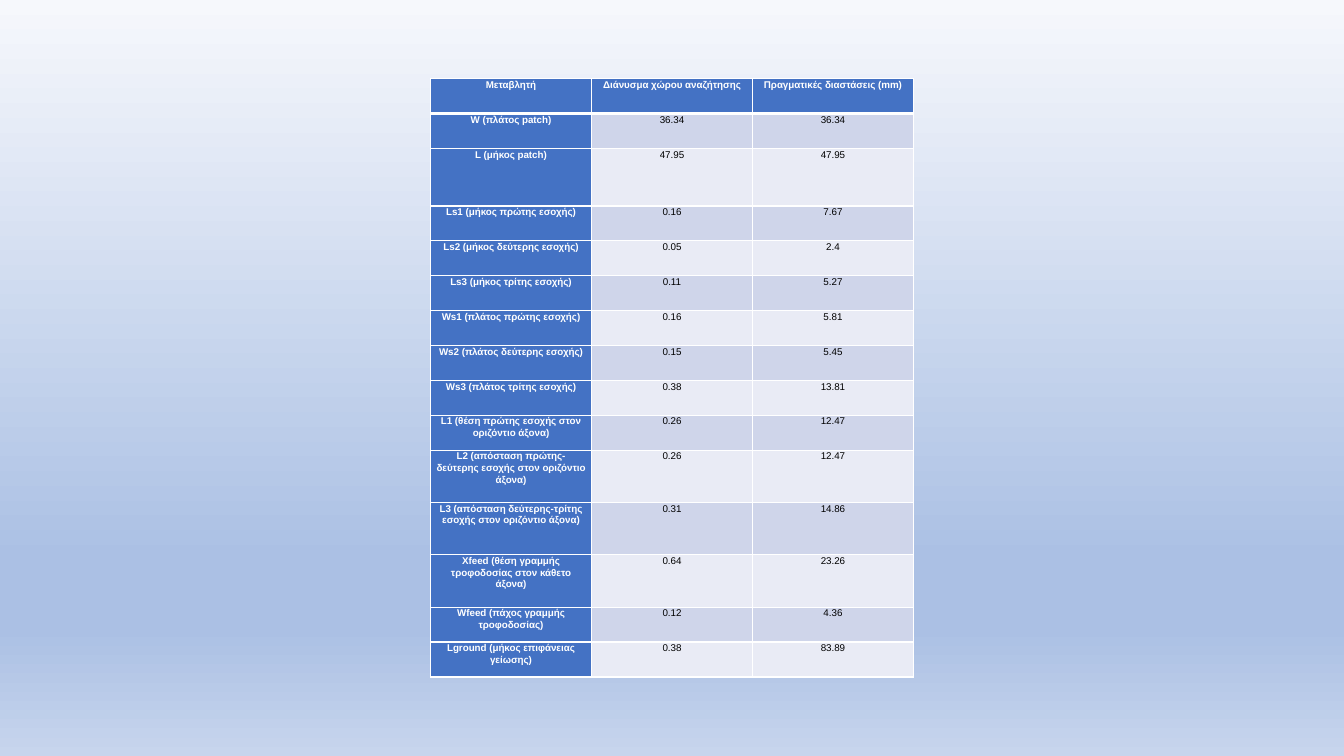
from copy import deepcopy

from lxml.etree import SubElement
from pptx import Presentation
from pptx.dml.color import RGBColor
from pptx.enum.text import PP_ALIGN
from pptx.oxml.ns import qn
from pptx.util import Inches, Pt

# Content: variable, search-space vector, real dimension
HEADER = ("Μεταβλητή", "Διάνυσμα χώρου αναζήτησης", "Πραγματικές διαστάσεις (mm)")
DIMENSIONS = [
    ("W (πλάτος patch)", "36.34", "36.34"),
    ("L (μήκος patch)", "47.95", "47.95"),
    ("Ls1 (μήκος πρώτης εσοχής)", "0.16", "7.67"),
    ("Ls2 (μήκος δεύτερης εσοχής)", "0.05", "2.4"),
    ("Ls3 (μήκος τρίτης εσοχής)", "0.11", "5.27"),
    ("Ws1 (πλάτος πρώτης εσοχής)", "0.16", "5.81"),
    ("Ws2 (πλάτος δεύτερης εσοχής)", "0.15", "5.45"),
    ("Ws3 (πλάτος τρίτης εσοχής)", "0.38", "13.81"),
    ("L1 (θέση πρώτης εσοχής στον οριζόντιο άξονα)", "0.26", "12.47"),
    ("L2 (απόσταση πρώτης-δεύτερης εσοχής στον οριζόντιο άξονα)", "0.26", "12.47"),
    ("L3 (απόσταση δεύτερης-τρίτης εσοχής στον οριζόντιο άξονα)", "0.31", "14.86"),
    ("Xfeed (θέση γραμμής τροφοδοσίας στον κάθετο άξονα)", "0.64", "23.26"),
    ("Wfeed (πάχος γραμμής τροφοδοσίας)", "0.12", "4.36"),
    ("Lground (μήκος επιφάνειας γείωσης)", "0.38", "83.89"),
]
ROWS = [HEADER] + DIMENSIONS
TALL_ROWS = {2: 1.65, 10: 1.5, 11: 1.5, 12: 1.5}  # in units of a plain row

WHITE = RGBColor(0xFF, 0xFF, 0xFF)
BLACK = RGBColor(0x00, 0x00, 0x00)
BLUE = RGBColor(0x44, 0x72, 0xC4)
BANDS = (RGBColor(0xE9, 0xEB, 0xF5), RGBColor(0xCF, 0xD5, 0xEA))
SKY = [
    (0, RGBColor(0xF6, 0xF8, 0xFC)),
    (74, RGBColor(0xAB, 0xC0, 0xE4)),
    (83, RGBColor(0xAB, 0xC0, 0xE4)),
    (100, RGBColor(0xC7, 0xD5, 0xED)),
]


def add_border(cell, side, points):
    line = SubElement(cell._tc.get_or_add_tcPr(), qn(f"a:ln{side}"), w=str(Pt(points)))
    fill = SubElement(line, qn("a:solidFill"))
    SubElement(fill, qn("a:srgbClr"), val=str(WHITE))


def fill_cell(cell, words, row, column):
    heading = row == 0 or column == 0
    for side in "LRTB":
        under_header = (row, side) in ((0, "B"), (1, "T"))
        add_border(cell, side, 3 if under_header else 1)
    cell.fill.solid()
    cell.fill.fore_color.rgb = BLUE if heading else BANDS[row % 2]
    cell.margin_left = cell.margin_right = Inches(0.05)
    cell.margin_top = cell.margin_bottom = 0
    cell.text_frame.text = words
    paragraph = cell.text_frame.paragraphs[0]
    paragraph.alignment = PP_ALIGN.CENTER
    paragraph.line_spacing = 1.07
    font = paragraph.runs[0].font
    font.name, font.size, font.bold = "Arial", Pt(7), heading
    font.color.rgb = WHITE if heading else BLACK


prs = Presentation()
prs.slide_width, prs.slide_height = Inches(13.33), Inches(7.5)
slide = prs.slides.add_slide(prs.slide_layouts[6])

# Background gradient, top to bottom
sky = slide.background.fill
sky.gradient()
sky.gradient_angle = 270
stops = slide.element.find(".//" + qn("a:gsLst"))
for _ in range(len(SKY) - len(stops)):
    stops.append(deepcopy(stops[0]))
for stop, (percent, color) in zip(sky.gradient_stops, SKY):
    stop.position = percent / 100
    stop.color.rgb = color

# Table, centred across the slide
width, height = Inches(4.79), Inches(5.94)
units = [TALL_ROWS.get(row, 1) for row in range(len(ROWS))]
table = slide.shapes.add_table(
    len(ROWS), len(HEADER), (prs.slide_width - width) // 2, Inches(0.78), width, height
).table
for column in table.columns:
    column.width = width // len(HEADER)
for row, entries in enumerate(ROWS):
    table.rows[row].height = int(height * units[row] / sum(units))
    for column, words in enumerate(entries):
        fill_cell(table.cell(row, column), words, row, column)

prs.save("out.pptx")
